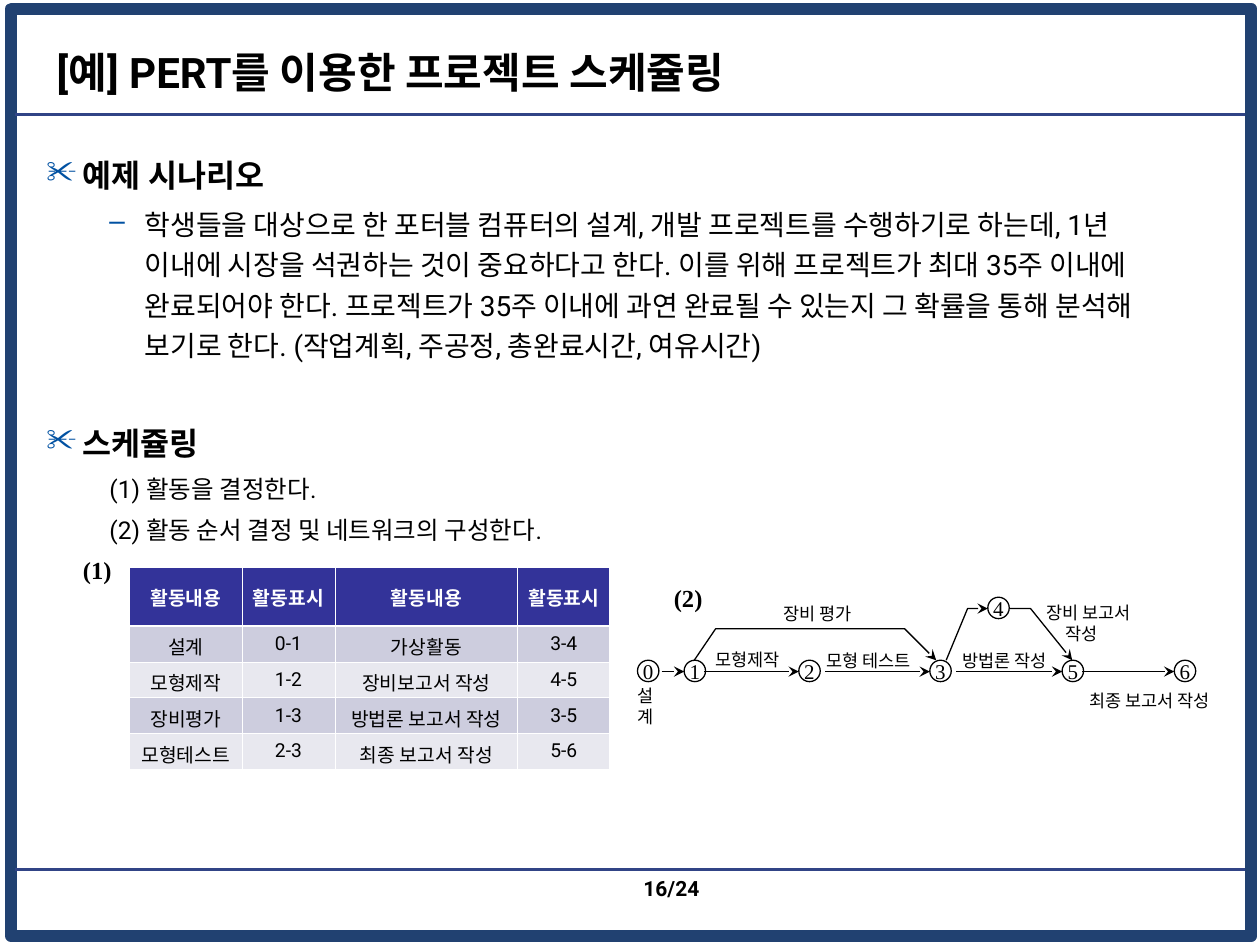
from lxml import etree
from pptx import Presentation
from pptx.dml.color import RGBColor
from pptx.enum.shapes import MSO_CONNECTOR, MSO_SHAPE
from pptx.enum.text import MSO_ANCHOR, MSO_AUTO_SIZE, PP_ALIGN
from pptx.oxml.ns import qn
from pptx.util import Inches, Pt

STRAIGHT = MSO_CONNECTOR.STRAIGHT
RECTANGLE, OVAL = MSO_SHAPE.RECTANGLE, MSO_SHAPE.OVAL
MIDDLE = MSO_ANCHOR.MIDDLE
LEFT, CENTER, RIGHT = PP_ALIGN.LEFT, PP_ALIGN.CENTER, PP_ALIGN.RIGHT
FIT_SHAPE, NO_FIT = MSO_AUTO_SIZE.SHAPE_TO_FIT_TEXT, MSO_AUTO_SIZE.NONE

COLORS = {"frame": "214171", "rule": "314486", "bullet": "0051A2", "black": "000000",
          "white": "FFFFFF", "header": "333399", "odd": "CDCDDE", "even": "E8E8EF"}

TITLE = {"name": "Roboto", "size": Pt(24), "bold": True}
PAGE = {"name": "Roboto", "size": Pt(12), "bold": True}
HEADING = {"name": "Roboto", "size": Pt(18), "bold": True}
DETAIL = {"name": "Roboto", "size": Pt(16), "bold": False}
STEP = {"name": "Roboto", "size": Pt(14), "bold": False}
CELL = {"name": "Roboto", "size": Pt(11), "bold": False}
NUMBER = {"name": "Times New Roman", "size": Pt(14), "bold": True}
NODE = {"name": "Times New Roman", "size": Pt(12), "bold": False}
LABEL = {"name": "Times New Roman", "size": Pt(10), "bold": False}

# text, format, left margin, hanging indent, bullet, space before
BODY = [
    ("예제 시나리오", HEADING, 0.29, 0.29, "✂", 0),
    ("학생들을 대상으로 한 포터블 컴퓨터의 설계, 개발 프로젝트를 수행하기로 하는데, "
     "1년 이내에 시장을 석권하는 것이 중요하다고 한다. 이를 위해 프로젝트가 최대 "
     "35주 이내에 완료되어야 한다. 프로젝트가 35주 이내에 과연 완료될 수 있는지 "
     "그 확률을 통해 분석해 보기로 한다. (작업계획, 주공정, 총완료시간, 여유시간)",
     DETAIL, 0.78, 0.28, "–", 4),
    ("스케쥴링", HEADING, 0.29, 0.29, "✂", 31),
    ("(1) 활동을 결정한다.", STEP, 0.78, 0.28, None, 3.5),
    ("(2) 활동 순서 결정 및 네트워크의 구성한다.", STEP, 0.78, 0.28, None, 3.5),
]

ACTIVITIES = [
    ("활동내용", "활동표시", "활동내용", "활동표시"),
    ("설계", "0-1", "가상활동", "3-4"),
    ("모형제작", "1-2", "장비보고서 작성", "4-5"),
    ("장비평가", "1-3", "방법론 보고서 작성", "3-5"),
    ("모형테스트", "2-3", "최종 보고서 작성", "5-6"),
]
COLUMN_WIDTHS = [0.89, 0.74, 1.45, 0.73]
ROW_HEIGHTS = [0.47] + [0.25] * 4

# Network positions in inches from the top left of its box
NODE_SIZE = 0.17
NODES = {"0": (0.1, 0.66), "1": (0.47, 0.66), "2": (1.38, 0.66), "3": (2.42, 0.66),
         "4": (2.88, 0.16), "5": (3.47, 0.66), "6": (4.36, 0.66)}
ARROW_TOP = 0.75
ARROWS = [(0.29, 0.47), (0.63, 1.38), (1.59, 2.42), (2.63, 3.47), (3.63, 4.36)]
BENT_ARROWS = [
    [(0.55, 0.66), (0.72, 0.41), (2.22, 0.41), (2.47, 0.66)],
    [(2.55, 0.66), (2.72, 0.25), (2.88, 0.25)],
    [(3.05, 0.25), (3.22, 0.25), (3.55, 0.66)],
]
LABELS = [
    ("설계", 0, 0.81, 0.45), ("모형제작", 0.62, 0.52, 0.71),
    ("모형 테스트", 1.5, 0.53, 0.87), ("장비 평가", 1.16, 0.16, 0.75),
    ("방법론 작성", 2.58, 0.53, 0.87), ("최종 보고서 작성", 3.59, 0.85, 1.17),
]


def color(name):
    return RGBColor.from_string(COLORS[name])


def write(paragraph, text, style, align=LEFT, ink="black"):
    paragraph.alignment = align
    run = paragraph.add_run()
    run.text = text
    for attribute, value in style.items():
        setattr(run.font, attribute, value)
    run.font.color.rgb = color(ink)


def indent(paragraph, margin, hanging=0, bullet=None):
    """Set margins in inches and an optional coloured bullet."""
    properties = paragraph._p.get_or_add_pPr()
    properties.set("marL", str(Inches(margin)))
    properties.set("indent", str(-Inches(hanging)))
    if bullet:
        bullet_color = etree.SubElement(properties, qn("a:buClr"))
        etree.SubElement(bullet_color, qn("a:srgbClr"), val=COLORS["bullet"])
        etree.SubElement(properties, qn("a:buChar"), char=bullet)


def add_text(slide, left, top, width, height, text, style, align=LEFT):
    """Add an unwrapped text box and return its frame."""
    box = slide.shapes.add_textbox(Inches(left), Inches(top), Inches(width), Inches(height))
    frame = box.text_frame
    frame.word_wrap = False
    frame.auto_size = FIT_SHAPE
    write(frame.paragraphs[0], text, style, align)
    return frame


def outline(shape, name, width):
    shape.line.color.rgb = color(name)
    shape.line.width = Pt(width)


def add_line(slide, left, top, right, name, width):
    line = slide.shapes.add_connector(
        STRAIGHT, Inches(left), Inches(top), Inches(right), Inches(top))
    outline(line, name, width)
    etree.SubElement(line._element.spPr, qn("a:effectLst"))
    return line


def add_arrowhead(shape):
    etree.SubElement(shape.line._get_or_add_ln(), qn("a:tailEnd"), type="stealth")


def add_page_frame(slide, left, top, width, height):
    frame = slide.shapes.add_shape(
        RECTANGLE, Inches(left), Inches(top), Inches(width), Inches(height))
    frame.shadow.inherit = False
    frame.fill.background()
    outline(frame, "frame", 7)
    for rule_top in (0.84, 6.83):
        add_line(slide, left + 0.03, top + rule_top, left + width - 0.05, "rule", 2)
    add_text(slide, left + 4.25, top + 6.83, 1.31, 0.33, "16/24", PAGE, RIGHT)


def set_title(slide, left, top, width, height):
    title = slide.shapes.title
    title.left, title.top = Inches(left), Inches(top)
    title.width, title.height = Inches(width), Inches(height)
    title.text_frame.vertical_anchor = MIDDLE
    title.text_frame.auto_size = NO_FIT
    write(title.text_frame.paragraphs[0], "[예] PERT를 이용한 프로젝트 스케쥴링", TITLE)


def add_body(slide, left, top, width, height):
    box = slide.shapes.add_textbox(Inches(left), Inches(top), Inches(width), Inches(height))
    frame = box.text_frame
    frame.word_wrap = True
    for index, (text, style, margin, hanging, bullet, before) in enumerate(BODY):
        paragraph = frame.add_paragraph() if index else frame.paragraphs[0]
        indent(paragraph, margin, hanging, bullet)
        paragraph.line_spacing = 1.2
        paragraph.space_before = Pt(before)
        write(paragraph, text, style)


def set_borders(cell, widths):
    properties = cell._tc.get_or_add_tcPr()
    for index, (side, width) in enumerate(widths.items()):
        line = etree.Element(qn(f"a:ln{side}"), w=str(Pt(width)))
        fill = etree.SubElement(line, qn("a:solidFill"))
        etree.SubElement(fill, qn("a:srgbClr"), val=COLORS["white"])
        properties.insert(index, line)


def add_activity_table(slide, left, top, width, height):
    add_text(slide, left - 0.47, top - 0.14, 0.43, 0.34, "(1)", NUMBER)
    table = slide.shapes.add_table(
        len(ACTIVITIES), len(COLUMN_WIDTHS),
        Inches(left), Inches(top), Inches(width), Inches(height)).table
    for column, column_width in zip(table.columns, COLUMN_WIDTHS):
        column.width = Inches(column_width)
    for row_index, texts in enumerate(ACTIVITIES):
        table.rows[row_index].height = Inches(ROW_HEIGHTS[row_index])
        header = row_index == 0
        fill = "header" if header else ("even", "odd")[row_index % 2]
        borders = {"L": 0.45, "R": 0.45, "T": 1.47 if row_index == 1 else 0.45,
                   "B": 1.47 if header else 0.45}
        for cell, text in zip(table.rows[row_index].cells, texts):
            cell.margin_left = cell.margin_right = Inches(0.04)
            cell.vertical_anchor = MIDDLE
            cell.fill.solid()
            cell.fill.fore_color.rgb = color(fill)
            set_borders(cell, borders)
            write(cell.text_frame.paragraphs[0], text, {**CELL, "bold": header},
                  CENTER, "white" if header else "black")


def add_network(slide, left, top):
    add_text(slide, left + 0.29, top, 0.43, 0.34, "(2)", NUMBER)
    for number, (x, y) in NODES.items():
        node = slide.shapes.add_shape(OVAL, Inches(left + x), Inches(top + y),
                                      Inches(NODE_SIZE), Inches(NODE_SIZE))
        node.shadow.inherit = False
        node.fill.background()
        outline(node, "black", 0.75)
        node.text_frame.word_wrap = False
        node.text_frame.vertical_anchor = MIDDLE
        write(node.text_frame.paragraphs[0], number, NODE, CENTER)
    for start, end in ARROWS:
        add_arrowhead(add_line(slide, left + start, top + ARROW_TOP, left + end, "black", 0.75))
    for corners in BENT_ARROWS:
        points = [(Inches(left + x), Inches(top + y)) for x, y in corners]
        builder = slide.shapes.build_freeform(*points[0])
        builder.add_line_segments(points[1:], close=False)
        arrow = builder.convert_to_shape()
        arrow.shadow.inherit = False
        arrow.fill.background()
        outline(arrow, "black", 0.75)
        add_arrowhead(arrow)
    for text, x, y, width in LABELS:
        add_text(slide, left + x, top + y, width, 0.27, text, LABEL)
    report = add_text(slide, left + 3.25, top + 0.15, 0.87, 0.44, "장비 보고서", LABEL)
    second_line = report.add_paragraph()
    indent(second_line, 0.15)
    write(second_line, "작성", LABEL)


def main():
    presentation = Presentation()
    presentation.slide_width, presentation.slide_height = Inches(10), Inches(7.5)
    slide = presentation.slides.add_slide(presentation.slide_layouts[5])
    add_page_frame(slide, 0.09, 0.07, 9.84, 7.36)
    set_title(slide, 0.35, 0.3, 7.8, 0.54)
    add_body(slide, 0.27, 1.13, 9.22, 5.61)
    add_network(slide, 4.96, 4.58)
    add_activity_table(slide, 1.03, 4.5, 3.81, 1.46)
    presentation.save("out.pptx")


if __name__ == "__main__":
    main()
